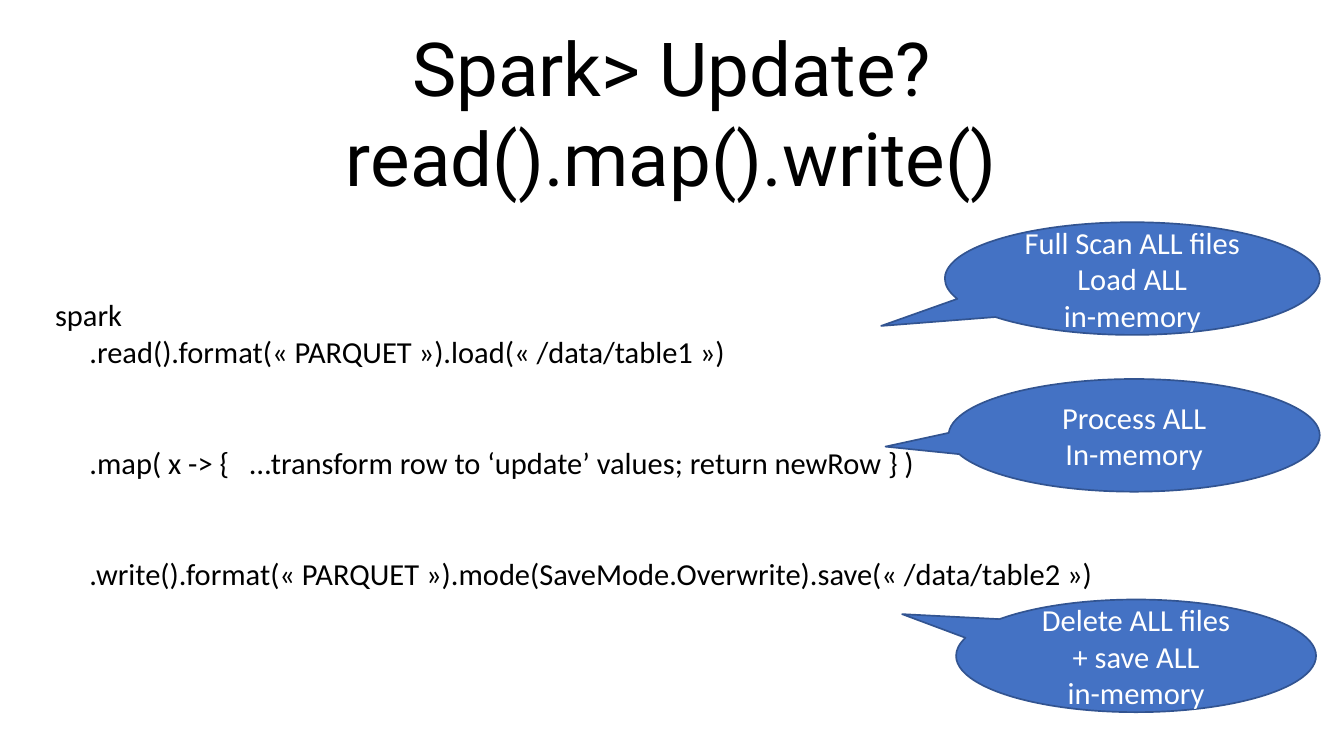
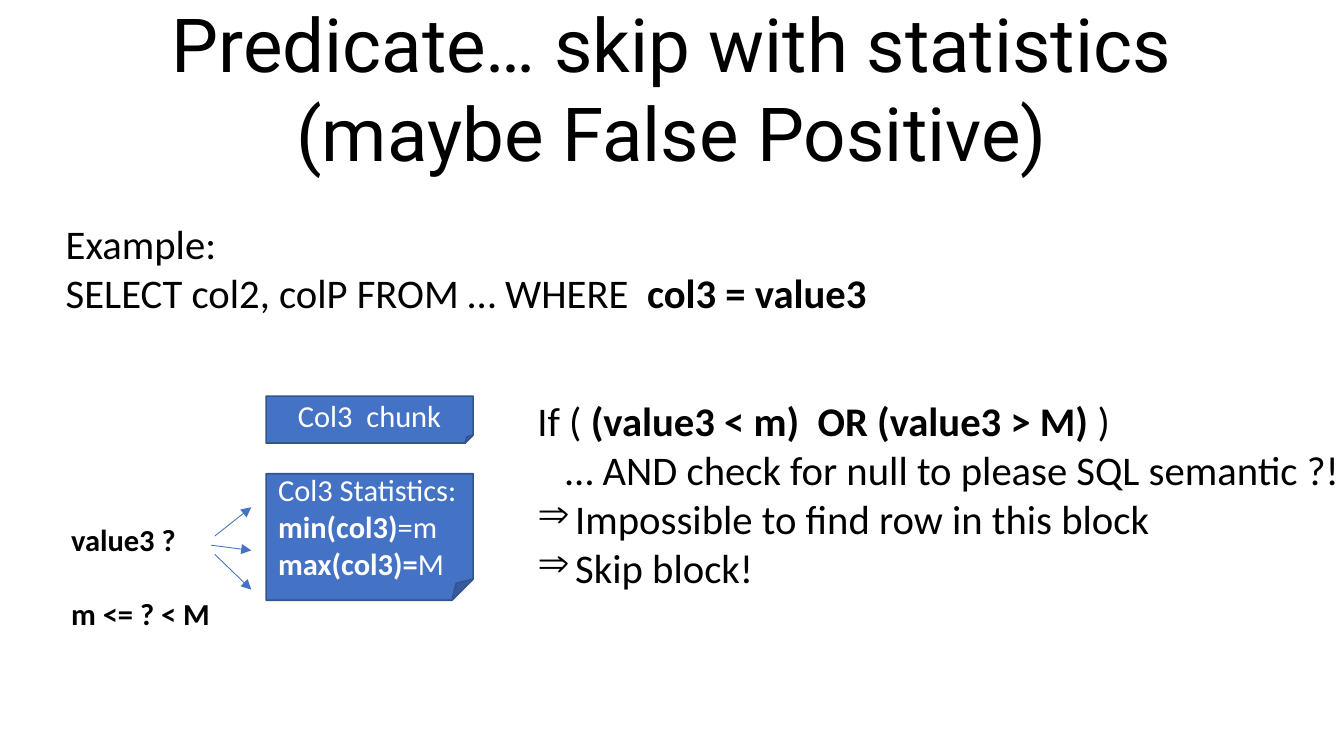
from typing import NamedTuple

from lxml.etree import SubElement
from pptx import Presentation
from pptx.dml.color import RGBColor
from pptx.enum.shapes import MSO_CONNECTOR as Line, MSO_SHAPE as Shape
from pptx.enum.text import MSO_ANCHOR as Anchor, PP_ALIGN as Align
from pptx.oxml.ns import qn
from pptx.util import Inches, Pt

WIDTH, HEIGHT = 11.02, 6.2
BLACK, WHITE, BLUE, DARK_BLUE = "000000", "FFFFFF", "4472C4", "325491"
TITLE = {"size": Pt(44), "name": "Roboto"}
BODY = {"size": Pt(24), "name": "Calibri"}
SMALL = {"size": Pt(18), "name": "Calibri"}
NO_INSETS = dict.fromkeys(
    ("margin_left", "margin_top", "margin_right", "margin_bottom"), 0)


class Box(NamedTuple):
    """A region in inches."""
    left: float
    top: float
    width: float
    height: float

    def point(self, across, down):
        return (Inches(self.left + across * self.width),
                Inches(self.top + down * self.height))

    def inner(self, left, top, width, height):
        """A smaller region, given as shares of this one."""
        return Box(self.left + left * self.width, self.top + top * self.height,
                   width * self.width, height * self.height)

    def emu(self):
        return [Inches(length) for length in self]


def region(left, top, width, height):
    """A region in percent of the slide's size."""
    return Box(0, 0, WIDTH, HEIGHT).inner(
        left / 100, top / 100, width / 100, height / 100)


def color(value):
    return RGBColor.from_string(value)


def apply(target, values):
    for key, value in values.items():
        setattr(target, key, value)


def set_bullet(paragraph, char, hanging):
    properties = paragraph._p.get_or_add_pPr()
    properties.set("marL", str(Inches(hanging)))
    properties.set("indent", str(-Inches(hanging)))
    SubElement(properties, qn("a:buChar")).set("char", char)


def write(frame, lines, font, ink=BLACK, align=Align.LEFT, anchor=Anchor.TOP,
          gaps=(), indents=(), bullets=(), insets=None):
    """Fill a frame; a line is a string or a list of (text, bold) runs.

    gaps and indents map line numbers to points and inches.
    """
    apply(frame, {"word_wrap": True, "vertical_anchor": anchor, **(insets or {})})
    gaps, indents = dict(gaps), dict(indents)
    for number, line in enumerate(lines):
        paragraph = frame.add_paragraph() if number else frame.paragraphs[0]
        paragraph.alignment = align
        if number in gaps:
            paragraph.space_before = Pt(gaps[number])
        if number in indents:
            paragraph._p.get_or_add_pPr().set("marL", str(Inches(indents[number])))
        if number in bullets:
            set_bullet(paragraph, "⇒", 0.31)
        for text, bold in [(line, False)] if isinstance(line, str) else line:
            run = paragraph.add_run()
            run.text = text
            apply(run.font, {**font, "bold": bold})
            run.font.color.rgb = color(ink)


def add_text(slide, box, lines, font, **layout):
    write(slide.shapes.add_textbox(*box.emu()).text_frame, lines, font, **layout)


def add_title(slide, box, lines):
    add_text(slide, box, lines, TITLE, align=Align.CENTER,
             anchor=Anchor.MIDDLE, insets=NO_INSETS)


def add_blue_shape(slide, kind, box, lines, align=Align.CENTER):
    shape = slide.shapes.add_shape(kind, *box.emu())
    shape.shadow.inherit = False
    shape.fill.solid()
    shape.fill.fore_color.rgb = color(BLUE)
    shape.line.color.rgb = color(DARK_BLUE)
    shape.line.width = Pt(1)
    write(shape.text_frame, lines, SMALL, ink=WHITE, align=align,
          anchor=Anchor.MIDDLE)
    return shape


def add_arrow(slide, start, end):
    arrow = slide.shapes.add_connector(Line.STRAIGHT, *start, *end)
    arrow.line.color.rgb = color(BLUE)
    arrow.line.width = Pt(0.5)
    SubElement(arrow.line._get_or_add_ln(), qn("a:tailEnd")).set("type", "triangle")
    SubElement(arrow._element.spPr, qn("a:effectLst"))


def add_cost_callouts(slide, box):
    """Speech bubbles: left, top, width in the box; tip offset; lines."""
    callouts = [
        (0, 0, 1, (-0.67, 0.42), ["Full Scan ALL files", "Load ALL", "in-memory"]),
        (0.01, 0.32, 0.99, (-0.67, 0.1), ["Process ALL", "In-memory"]),
        (0.03, 0.77, 0.96, (-0.65, -0.37),
         ["Delete ALL files", "+ save ALL", "in-memory"]),
    ]
    for left, top, width, tip, lines in callouts:
        callout = add_blue_shape(slide, Shape.OVAL_CALLOUT,
                                 box.inner(left, top, width, 0.23), lines)
        for axis, offset in enumerate(tip):
            callout.adjustments[axis] = offset


def add_column_block(slide, box):
    """The data chunk of a column above its statistics."""
    add_blue_shape(slide, Shape.FOLDED_CORNER, box.inner(0, 0.38, 1, 0.62), [
        "Col3 Statistics:",
        [("min(col3)", True), ("=m", False)],
        [("max(col3)=", True), ("M", False)],
    ], align=Align.LEFT)
    add_blue_shape(slide, Shape.FOLDED_CORNER, box.inner(0, 0, 1, 0.23),
                   ["Col3  chunk"])


def add_value_question(slide, box):
    """The searched value with arrows fanning out to the statistics."""
    add_text(slide, box.inner(0, 0.06, 0.9, 0.94),
             [[("value3 ?", True)], [("m <= ? < M", True)]], SMALL, gaps={1: 22})
    for start, end in [((0.81, 0.22), (1, 0)), ((0.81, 0.36), (1, 0.63)),
                       ((0.79, 0.29), (1, 0.33))]:
        add_arrow(slide, box.point(*start), box.point(*end))


def build_update_slide(slide):
    add_title(slide, region(5, 4, 90, 21.6),
              ["Spark> Update?", "read().map().write()"])
    add_text(slide, region(3.2, 38.4, 80, 40.6), [
        "spark",
        "     .read().format(« PARQUET »).load(« /data/table1 »)",
        "     .map( x -> {   …transform row to ‘update’ values; return newRow } )",
        "     .write().format(« PARQUET »).mode(SaveMode.Overwrite)"
        ".save(« /data/table2 »)",
    ], SMALL, gaps={2: 44, 3: 44})
    add_cost_callouts(slide, region(70.3, 29.4, 27.9, 64.8))


def build_predicate_slide(slide):
    add_title(slide, region(5, 0.2, 90, 22.7),
              ["Predicate… skip with statistics", "(maybe False Positive)"])
    add_text(slide, region(4, 28.2, 64.5, 14.7), [
        "Example:",
        [("SELECT col2, colP FROM … WHERE  ", False), ("col3 = value3", True)],
    ], BODY)
    add_column_block(slide, region(19.8, 52.4, 15.4, 27))
    # Rule for skipping a block
    add_text(slide, region(39.1, 51.6, 62, 27.7), [
        [("If ( ", False), ("(value3 < m)  OR (value3 > M)", True), (" )", False)],
        "… AND check for null to please SQL semantic ?!",
        "Impossible to find row in this block",
        "Skip block!",
    ], BODY, indents={1: 0.23}, bullets=(2, 3))
    add_value_question(slide, region(4.4, 67.1, 14.3, 17.3))


def main():
    deck = Presentation()
    deck.slide_width, deck.slide_height = Inches(WIDTH), Inches(HEIGHT)
    for build in (build_update_slide, build_predicate_slide):
        build(deck.slides.add_slide(deck.slide_layouts[6]))
    deck.save("out.pptx")


if __name__ == "__main__":
    main()
